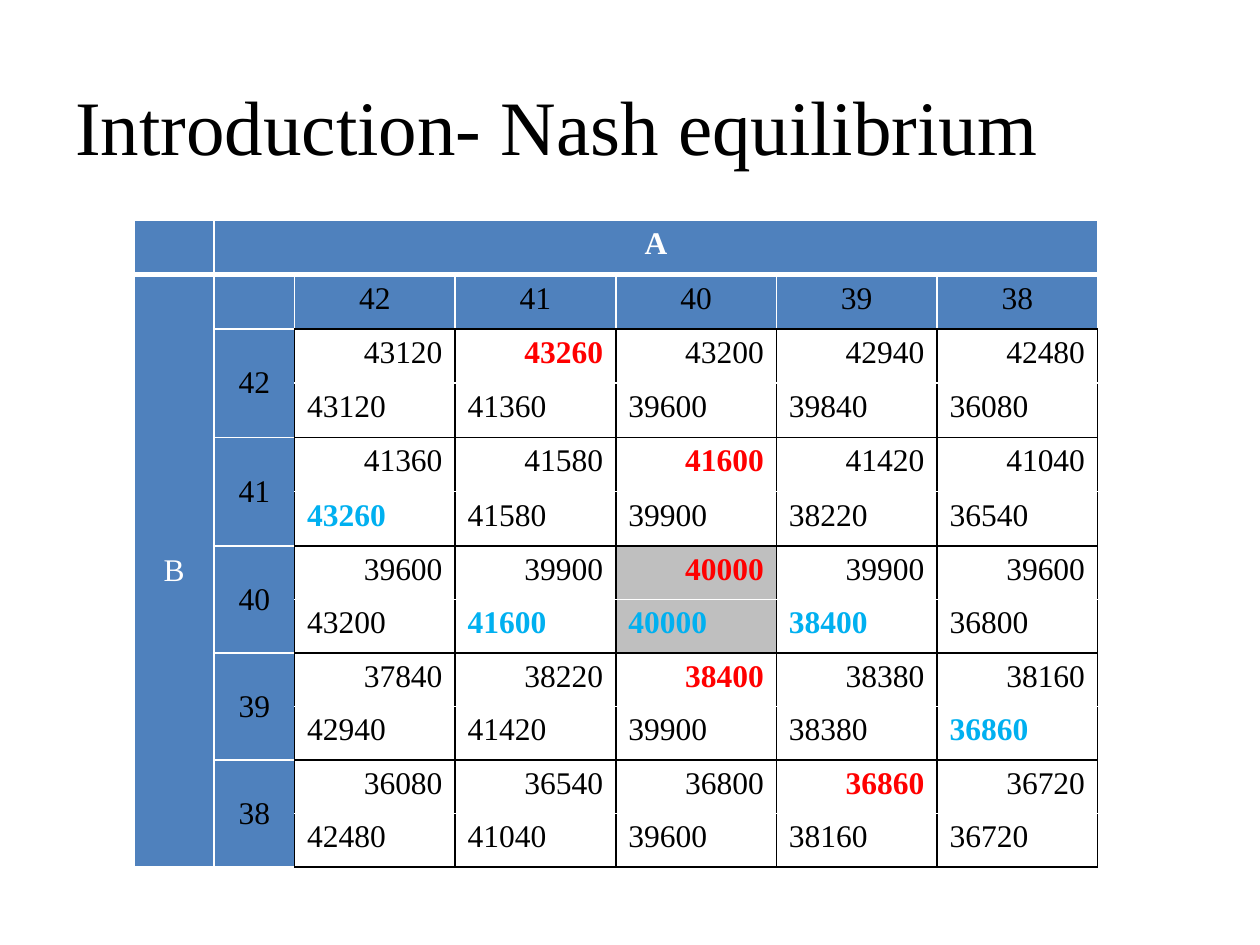
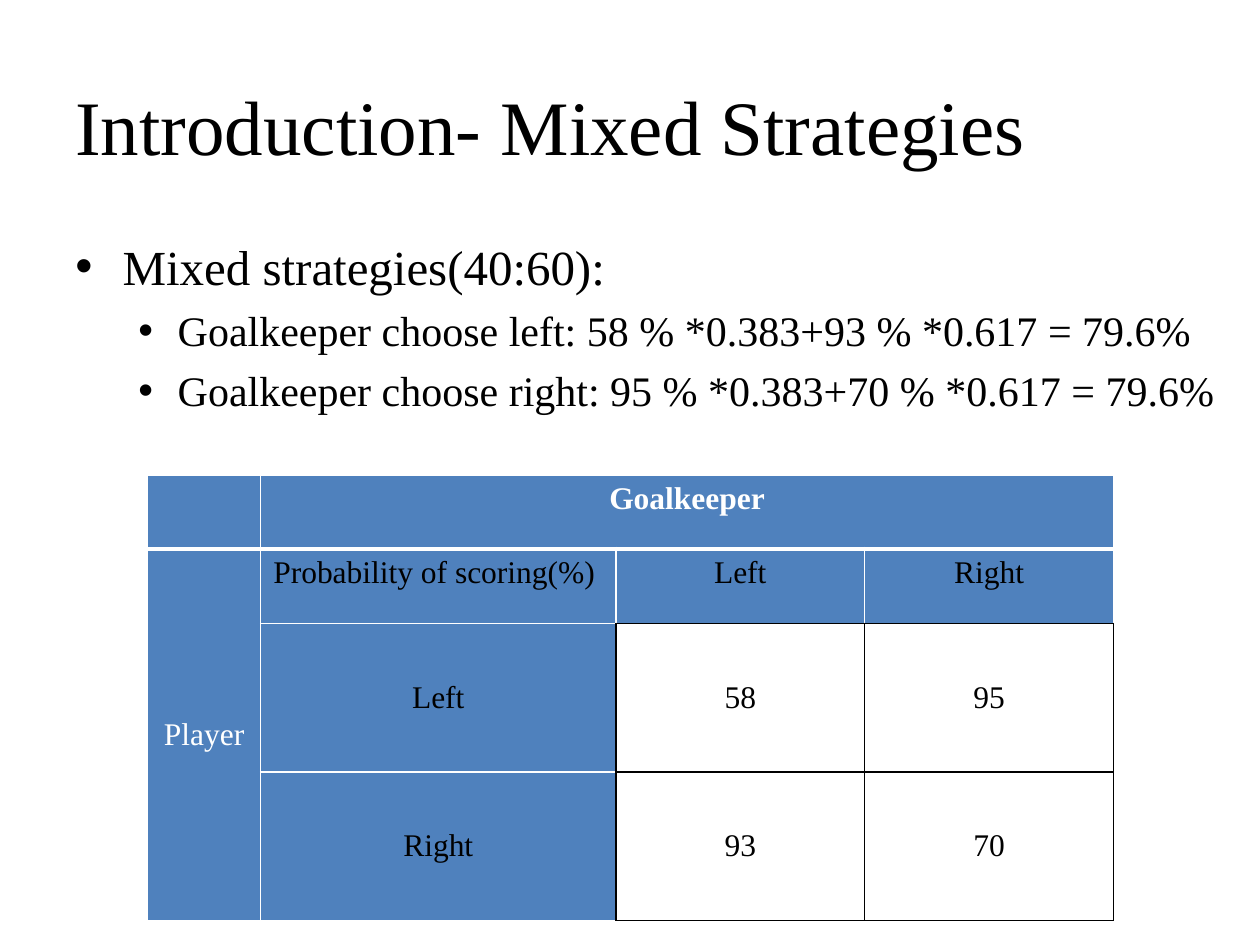
from dataclasses import dataclass

from lxml import etree
from pptx import Presentation
from pptx.dml.color import RGBColor
from pptx.enum.text import MSO_ANCHOR, PP_ALIGN
from pptx.oxml.ns import qn
from pptx.util import Pt

LEFT, CENTER, RIGHT = PP_ALIGN.LEFT, PP_ALIGN.CENTER, PP_ALIGN.RIGHT
TOP, MIDDLE = MSO_ANCHOR.TOP, MSO_ANCHOR.MIDDLE


@dataclass(frozen=True)
class Theme:
    font: str = "Times New Roman"
    ink: str = "000000"
    paper: str = "FFFFFF"
    header: str = "4F81BD"
    equilibrium: str = "BFBFBF"
    reply_a: str = "FF0000"
    reply_b: str = "00B0F0"
    title: int = 44
    point: int = 28
    subpoint: int = 24
    table: int = 18
    thin: int = 1
    thick: int = 3


THEME = Theme()
TITLE_BOX = (36, 26, 648, 90)
HEADERS = 2  # leading rows and columns that hold names

STRATEGIES = (42, 41, 40, 39, 38)
PAYOFFS_A = (
    (43120, 43260, 43200, 42940, 42480),
    (41360, 41580, 41600, 41420, 41040),
    (39600, 39900, 40000, 39900, 39600),
    (37840, 38220, 38400, 38380, 38160),
    (36080, 36540, 36800, 36860, 36720),
)
PAYOFFS_B = (
    (43120, 41360, 39600, 39840, 36080),
    (43260, 41580, 39900, 38220, 36540),
    (43200, 41600, 40000, 38400, 36800),
    (42940, 41420, 39900, 38380, 36860),
    (42480, 41040, 39600, 38160, 36720),
)

SIDES = ("Left", "Right")
SCORING = ((58, 95), (93, 70))
POINTS = (
    ("Mixed strategies(40:60):", 0),
    ("Goalkeeper choose left: 58 % *0.383+93 % *0.617 = 79.6%", 1),
    ("Goalkeeper choose right: 95 % *0.383+70 % *0.617 = 79.6%", 1),
)


def rgb(value):
    return RGBColor.from_string(value)


def write(paragraph, text, size=THEME.table, color=THEME.ink, bold=False,
          align=LEFT, before=0):
    paragraph.alignment = align
    paragraph.space_before = Pt(before)
    run = paragraph.add_run()
    run.text = str(text)
    run.font.name = THEME.font
    run.font.size = Pt(size)
    run.font.bold = bold
    run.font.color.rgb = rgb(color)


def add_frame(slide, box, anchor=TOP):
    frame = slide.shapes.add_textbox(*map(Pt, box)).text_frame
    frame.word_wrap = True
    frame.vertical_anchor = anchor
    return frame


def add_title(slide, text):
    frame = add_frame(slide, TITLE_BOX, MIDDLE)
    write(frame.paragraphs[0], text, size=THEME.title)


def add_bullet(paragraph, margin, hang):
    properties = paragraph._p.get_or_add_pPr()
    properties.set("marL", str(Pt(margin)))
    properties.set("indent", str(-Pt(hang)))
    etree.SubElement(properties, qn("a:buFont"), typeface="Arial")
    etree.SubElement(properties, qn("a:buChar"), char="•")


def add_points(slide, box, points):
    frame = add_frame(slide, box)
    frame.margin_top = Pt(9)
    levels = ((27, 27, THEME.point), (58.5, 22.5, THEME.subpoint))
    for index, (text, level) in enumerate(points):
        paragraph = frame.add_paragraph() if index else frame.paragraphs[0]
        margin, hang, size = levels[level]
        paragraph.level = level
        add_bullet(paragraph, margin, hang)
        write(paragraph, text, size=size, before=5.5 if index else 0)


def set_border(cell, tag, color, width):
    line = etree.SubElement(cell._tc.get_or_add_tcPr(), qn(tag), w=str(Pt(width)))
    fill = etree.SubElement(line, qn("a:solidFill"))
    etree.SubElement(fill, qn("a:srgbClr"), val=color)


def edge_right(row, column):
    inside = row >= HEADERS and column >= HEADERS - 1
    return (THEME.ink if inside else THEME.paper), THEME.thin


def edge_below(row, column, rows_each):
    if row == 0:
        return THEME.paper, THEME.thick
    ends_strategy = row >= HEADERS - 1 and (row - HEADERS + 1) % rows_each == 0
    inside = column >= HEADERS and ends_strategy
    return (THEME.ink if inside else THEME.paper), THEME.thin


def fill_cell(cell, text, anchor=TOP, **text_format):
    cell.vertical_anchor = anchor
    write(cell.text_frame.paragraphs[0], text, **text_format)


def add_game(slide, box, widths, heights, players, strategies, rows_each=1):
    """Draw the grid, its borders and both players' names and strategies."""
    table = slide.shapes.add_table(len(heights), len(widths), *map(Pt, box)).table
    for column, width in zip(table.columns, widths):
        column.width = Pt(width)
    for row, height in zip(table.rows, heights):
        row.height = Pt(height)

    # Fills and borders
    for r in range(len(heights)):
        for c in range(len(widths)):
            cell = table.cell(r, c)
            set_border(cell, "a:lnL", *edge_right(r, c - 1))
            set_border(cell, "a:lnR", *edge_right(r, c))
            set_border(cell, "a:lnT", *edge_below(r - 1, c, rows_each))
            set_border(cell, "a:lnB", *edge_below(r, c, rows_each))
            cell.fill.solid()
            is_header = min(r, c) < HEADERS
            cell.fill.fore_color.rgb = rgb(THEME.header if is_header else THEME.paper)

    # Player names
    column_player, row_player = players
    table.cell(0, 1).merge(table.cell(0, len(widths) - 1))
    table.cell(1, 0).merge(table.cell(len(heights) - 1, 0))
    fill_cell(table.cell(0, 1), column_player, color=THEME.paper, bold=True, align=CENTER)
    fill_cell(table.cell(1, 0), row_player, MIDDLE, color=THEME.paper, align=CENTER)

    # Strategy names
    for index, strategy in enumerate(strategies):
        first = HEADERS + index * rows_each
        if rows_each > 1:
            table.cell(first, 1).merge(table.cell(first + rows_each - 1, 1))
        fill_cell(table.cell(1, HEADERS + index), strategy, align=CENTER)
        fill_cell(table.cell(first, 1), strategy, MIDDLE, align=CENTER)
    return table


def nash_slide(slide):
    add_title(slide, "Introduction- Nash equilibrium")
    table = add_game(slide, (76.5, 126, 550.8, 369.6),
                     [45.9] * 2 + [91.8] * 5, [31] * 6 + [30.6] * 6,
                     ("A", "B"), STRATEGIES, rows_each=2)

    # The game is symmetric, so one list gives both players' best replies
    best_reply = [row.index(max(row)) for row in PAYOFFS_A]
    for i in range(len(STRATEGIES)):
        for j in range(len(STRATEGIES)):
            best_a, best_b = best_reply[i] == j, best_reply[j] == i
            upper = table.cell(HEADERS + 2 * i, HEADERS + j)
            lower = table.cell(HEADERS + 2 * i + 1, HEADERS + j)
            fill_cell(upper, PAYOFFS_A[i][j], align=RIGHT, bold=best_a,
                      color=THEME.reply_a if best_a else THEME.ink)
            fill_cell(lower, PAYOFFS_B[i][j], bold=best_b,
                      color=THEME.reply_b if best_b else THEME.ink)
            if best_a and best_b:
                for cell in (upper, lower):
                    cell.fill.fore_color.rgb = rgb(THEME.equilibrium)


def mixed_slide(slide):
    add_points(slide, (36, 126, 669.6, 356.4), POINTS)
    add_title(slide, "Introduction- Mixed Strategies")
    table = add_game(slide, (84.4, 271.3, 552, 254.7),
                     [64.6, 203, 142.2, 142.2], [42.45] * 2 + [84.9] * 2,
                     ("Goalkeeper", "Player"), SIDES)
    fill_cell(table.cell(1, 1), "Probability of scoring(%)")
    for i, chances in enumerate(SCORING):
        for j, chance in enumerate(chances):
            fill_cell(table.cell(HEADERS + i, HEADERS + j), chance, MIDDLE, align=CENTER)


def main():
    deck = Presentation()
    deck.slide_width, deck.slide_height = Pt(720), Pt(540)
    blank = deck.slide_layouts[6]
    for build in (nash_slide, mixed_slide):
        build(deck.slides.add_slide(blank))
    deck.save("out.pptx")


if __name__ == "__main__":
    main()
